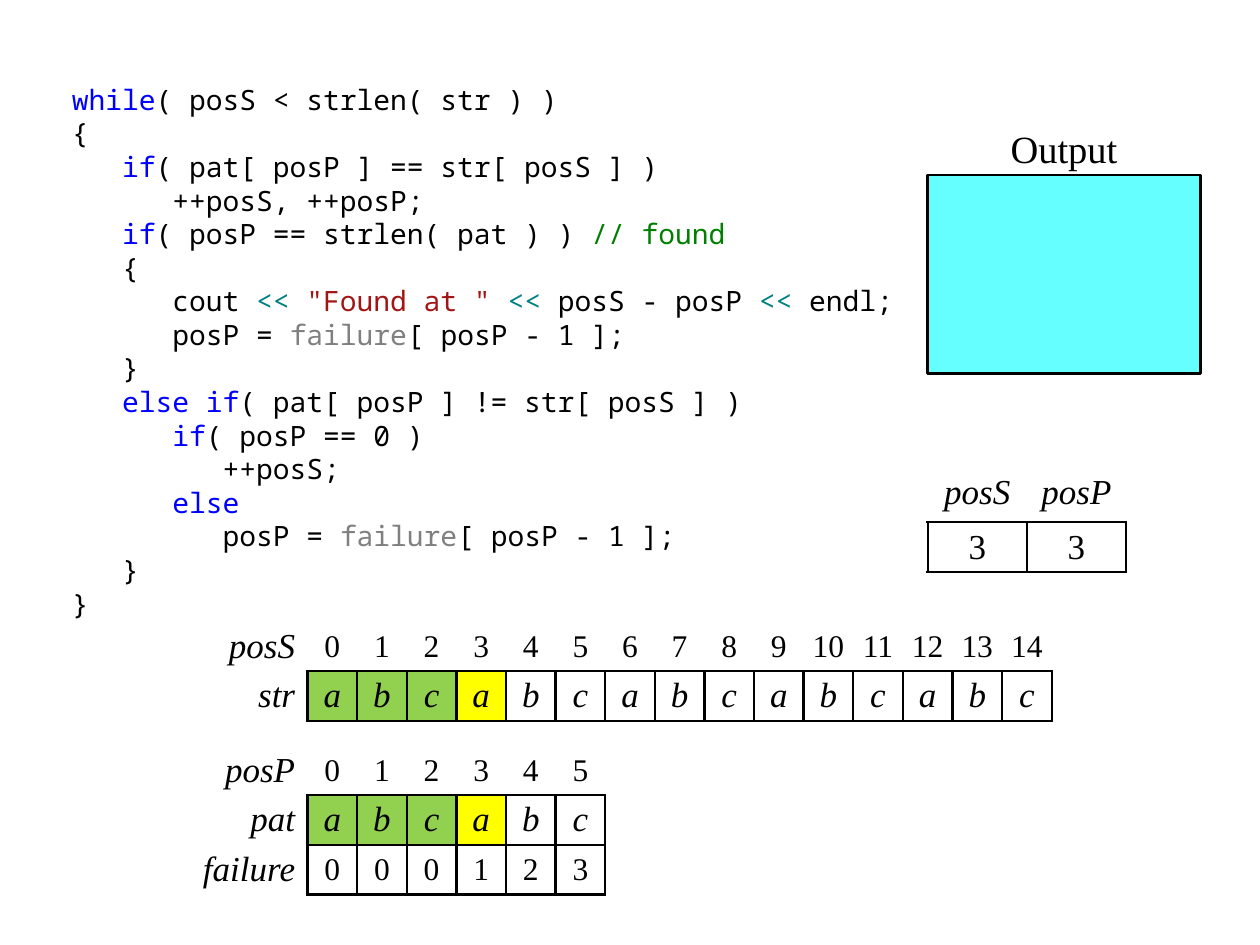
from lxml import etree
from pptx import Presentation
from pptx.dml.color import RGBColor
from pptx.enum.shapes import MSO_SHAPE
from pptx.enum.text import MSO_ANCHOR, PP_ALIGN
from pptx.oxml.ns import qn
from pptx.util import Cm, Pt

RECT = MSO_SHAPE.RECTANGLE
TOP, MIDDLE = MSO_ANCHOR.TOP, MSO_ANCHOR.MIDDLE
LEFT, CENTER, RIGHT = PP_ALIGN.LEFT, PP_ALIGN.CENTER, PP_ALIGN.RIGHT

THEME = {
    "serif": "Times New Roman", "mono": "Noto Sans Mono",
    "code": 16, "pitch": 19.2, "digit": 18, "name": 20, "title": 22, "line": 1.5,
    "ink": "000000", "key": "0000FF", "note": "008000", "op": "008080",
    "str": "A31515", "var": "808080",
    "match": "92D050", "now": "FFFF00", "panel": "66FFFF",
}

# Each line is a list of plain strings and (string, colour role) pairs.
SHIFT = [("failure", "var"), "[ posP - 1 ];"]
CODE = [
    [("while", "key"), "( posS < strlen( str ) )"],
    ["{"],
    ["   ", ("if", "key"), "( pat[ posP ] == str[ posS ] )"],
    ["      ++posS, ++posP;"],
    ["   ", ("if", "key"), "( posP == strlen( pat ) ) ", ("// found", "note")],
    ["   {"],
    ["      cout ", ("<< ", "op"), ('"Found at " ', "str"), ("<< ", "op"),
     "posS - posP ", ("<< ", "op"), "endl;"],
    ["      posP = ", *SHIFT],
    ["   }"],
    ["   ", ("else if", "key"), "( pat[ posP ] != str[ posS ] )"],
    ["      ", ("if", "key"), "( posP == 0 )"],
    ["         ++posS;"],
    ["      ", ("else", "key")],
    ["         posP = ", *SHIFT],
    ["   }"],
    ["}"],
]

MARKS = ["match"] * 3 + ["now"]
# Lengths are in centimetres; "label" is the width of the name column.
TABLES = [
    {"at": (4.2, 12.53), "label": 2, "cell": 1, "digit": "digit", "marks": MARKS,
     "rows": [["posS", *range(15)], ["str", *"abc" * 5]]},
    {"at": (18.7, 9.53), "label": 0, "cell": 2, "digit": "name", "marks": [],
     "rows": [["posS", "posP"], [3, 3]]},
    {"at": (3.7, 15.03), "label": 2.5, "cell": 1, "digit": "digit", "marks": MARKS,
     "rows": [["posP", *range(6)], ["pat", *"abcabc"],
              ["failure", 0, 0, 0, 1, 2, 3]]},
]


def tint(name):
    return RGBColor.from_string(THEME[name])


def put(para, text, size, face="serif", ink="ink", italic=False):
    run = para.add_run()
    run.text = str(text)
    form = {"name": THEME[face], "size": Pt(THEME[size]), "italic": italic}
    for key, value in form.items():
        setattr(run.font, key, value)
    run.font.color.rgb = tint(ink)


def inset(box, left, top, right, low):
    for side, size in zip(("left", "top", "right", "bottom"), (left, top, right, low)):
        setattr(box, "margin_" + side, Cm(size))


def frame(slide, at, pads):
    text = slide.shapes.add_textbox(*map(Cm, at)).text_frame
    text.word_wrap = True
    text.vertical_anchor = TOP
    inset(text, *pads)
    return text


def rule(cell, side, drawn):
    """Give one side of a cell a black line, or none."""
    props = cell._tc.get_or_add_tcPr()
    line = etree.SubElement(props, qn("a:ln" + side), w=str(Pt(THEME["line"])))
    if drawn:
        fill = etree.SubElement(line, qn("a:solidFill"))
        etree.SubElement(fill, qn("a:srgbClr"), val=THEME["ink"])
    else:
        etree.SubElement(line, qn("a:noFill"))


def add_code(slide):
    text = frame(slide, (1.2, 1.53, 17, 11), (0.25, 0.13, 0.1, 0.13))
    for i, parts in enumerate(CODE):
        para = text.add_paragraph() if i else text.paragraphs[0]
        para.alignment = LEFT
        para.line_spacing = Pt(THEME["pitch"])
        for part in parts:
            word, role = (part, "ink") if isinstance(part, str) else part
            put(para, word, "code", "mono", role)


def add_grid(slide, data):
    """Draw a table whose values are boxed below an open header row."""
    rows, label = data["rows"], data["label"]
    first = 1 if label else 0
    high, wide = len(rows), len(rows[0])
    widths = [label] * first + [data["cell"]] * (wide - first)
    x, y = data["at"]
    table = slide.shapes.add_table(
        high, wide, Cm(x), Cm(y), Cm(sum(widths)), Cm(high)).table
    table.first_row = table.horz_banding = False
    for col, width in zip(table.columns, widths):
        col.width = Cm(width)
    for row in table.rows:
        row.height = Cm(1)

    def boxed(r, c):
        return 0 < r < high and first <= c < wide

    for r, row in enumerate(rows):
        for c, value in enumerate(row):
            cell = table.cell(r, c)
            near = {"L": (r, c - 1), "R": (r, c + 1), "T": (r - 1, c), "B": (r + 1, c)}
            for side, spot in near.items():
                rule(cell, side, boxed(r, c) or boxed(*spot))
            mark = c - first
            if r == 1 and 0 <= mark < len(data["marks"]):
                cell.fill.solid()
                cell.fill.fore_color.rgb = tint(data["marks"][mark])
            else:
                cell.fill.background()
            pad = 0.25 if c < first else 0.1
            inset(cell, pad, 0, pad, 0)
            cell.vertical_anchor = MIDDLE if first or r else TOP
            para = cell.text_frame.paragraphs[0]
            para.alignment = RIGHT if c < first else CENTER
            word = isinstance(value, str)
            put(para, value, "name" if word else data["digit"], italic=word)


def add_output(slide):
    panel = slide.shapes.add_shape(RECT, *map(Cm, (18.7, 3.53, 5.5, 4)))
    panel.shadow.inherit = False
    panel.fill.solid()
    panel.fill.fore_color.rgb = tint("panel")
    panel.line.color.rgb = tint("ink")
    panel.line.width = Pt(THEME["line"])
    para = frame(slide, (19.7, 2.53, 3.5, 1), (0.25, 0, 0.25, 0.13)).paragraphs[0]
    para.alignment = CENTER
    put(para, "Output", "title")


def main():
    deck = Presentation()
    deck.slide_width, deck.slide_height = Cm(25.4), Cm(19.05)
    slide = deck.slides.add_slide(deck.slide_layouts[6])
    add_code(slide)
    for data in TABLES:
        add_grid(slide, data)
    add_output(slide)
    deck.save("out.pptx")


if __name__ == "__main__":
    main()
